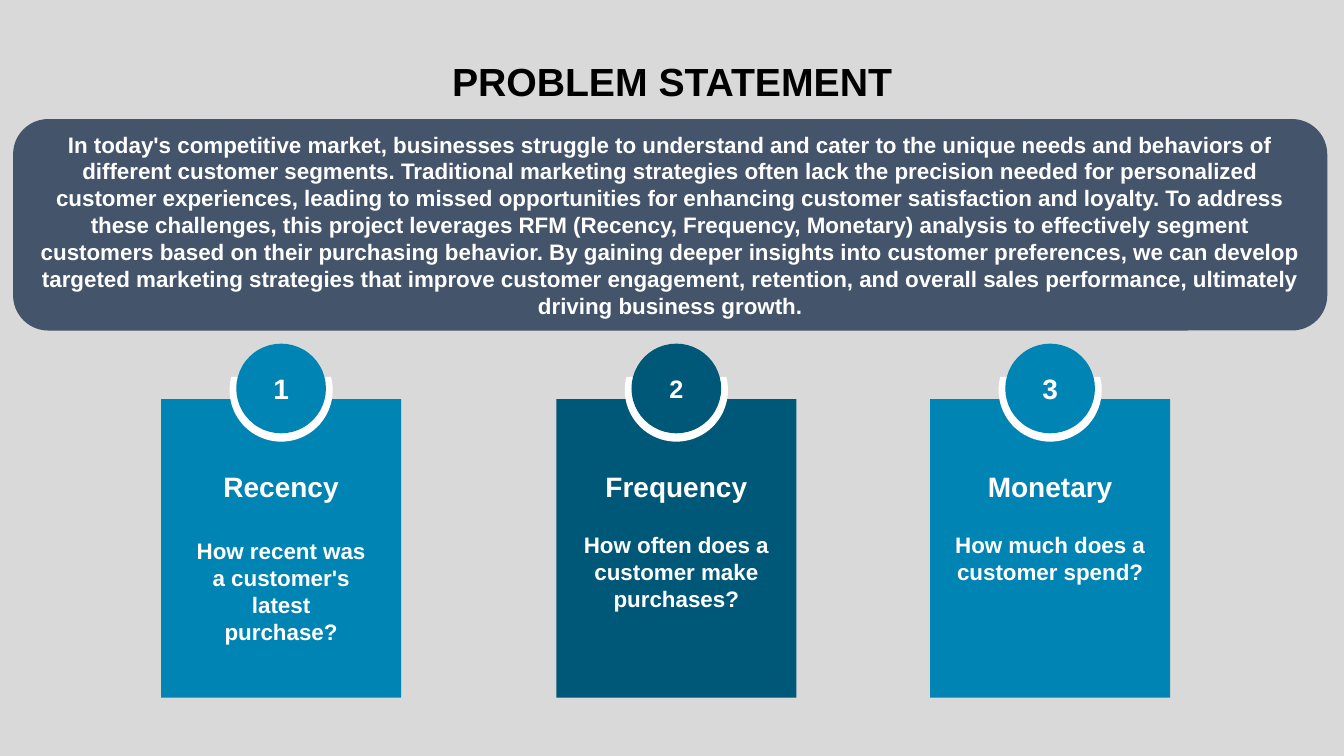
from dataclasses import dataclass
from math import asin, cos, pi, sin

from pptx import Presentation
from pptx.dml.color import RGBColor as RGB
from pptx.enum.shapes import MSO_SHAPE as Shape
from pptx.enum.text import MSO_ANCHOR as Anchor, MSO_AUTO_SIZE as Fit, PP_ALIGN as Align
from pptx.util import Cm, Pt


@dataclass(frozen=True)
class Theme:
    font: str = "Arial"
    page: RGB = RGB(0xD9, 0xD9, 0xD9)
    slate: RGB = RGB(0x44, 0x54, 0x6A)
    blue: RGB = RGB(0x00, 0x84, 0xB4)
    deep: RGB = RGB(0x00, 0x58, 0x78)
    white: RGB = RGB(0xFF, 0xFF, 0xFF)
    black: RGB = RGB(0x00, 0x00, 0x00)
    title: int = 28
    head: int = 20
    mark: int = 18
    body: int = 16


@dataclass(frozen=True)
class Card:
    mark: str
    head: str
    ask: str
    left: float
    wide: float
    gap: float
    fill: RGB
    size: int


THEME = Theme()
CARD_W, CARD_H, CARD_TOP = 6.05, 7.52, 10.06
DISC, DISC_TOP = 2.26, 8.66
CUP_R, CUP_Y, CUP_TOP = 1.3, 9.83, 9.5

INTRO = (
    "In today's competitive market, businesses struggle to understand and cater to the "
    "unique needs and behaviors of different customer segments. Traditional marketing "
    "strategies often lack the precision needed for personalized customer experiences, "
    "leading to missed opportunities for enhancing customer satisfaction and loyalty. "
    "To address these challenges, this project leverages RFM (Recency, Frequency, "
    "Monetary) analysis to effectively segment customers based on their purchasing "
    "behavior. By gaining deeper insights into customer preferences, we can develop "
    "targeted marketing strategies that improve customer engagement, retention, and "
    "overall sales performance, ultimately driving business growth."
)

CARDS = (
    Card("1", "Recency", "How recent was a customer's latest purchase?",
         4.06, 4.93, 24.5, THEME.blue, THEME.head),
    Card("2", "Frequency", "How often does a customer make purchases?",
         14.02, 5.2, 20, THEME.deep, THEME.mark),
    Card("3", "Monetary", "How much does a customer spend?",
         23.44, 5.46, 20, THEME.blue, THEME.head),
)


def paint(shape, fill):
    shape.shadow.inherit = False
    shape.fill.solid()
    shape.fill.fore_color.rgb = fill
    shape.line.fill.background()


def style(para, size, color=THEME.white):
    para.alignment = Align.CENTER
    para.font.name = THEME.font
    para.font.size = Pt(size)
    para.font.bold = True
    para.font.color.rgb = color


def write(shape, text, size, color=THEME.white):
    frame = shape.text_frame
    frame.word_wrap = True
    frame.auto_size = Fit.NONE
    frame.vertical_anchor = Anchor.MIDDLE
    frame.text = text
    style(frame.paragraphs[0], size, color)


def add_block(slide, kind, box, fill):
    shape = slide.shapes.add_shape(kind, *map(Cm, box))
    paint(shape, fill)
    return shape


def add_cup(slide, mid):
    tilt = asin((CUP_Y - CUP_TOP) / CUP_R)
    steps = 48
    turns = [-tilt + (pi + 2 * tilt) * i / steps for i in range(steps + 1)]
    dots = [(Cm(mid + CUP_R * cos(t)), Cm(CUP_Y + CUP_R * sin(t))) for t in turns]
    pen = slide.shapes.build_freeform(*dots[0])
    pen.add_line_segments(dots[1:], close=True)
    paint(pen.convert_to_shape(), THEME.white)


def add_copy(slide, card, mid):
    box = (mid - card.wide / 2, 11.71, card.wide, 4.57)
    frame = slide.shapes.add_textbox(*map(Cm, box)).text_frame
    frame.word_wrap = True
    head, ask = frame.paragraphs[0], frame.add_paragraph()
    head.text, ask.text = card.head, card.ask
    style(head, THEME.head)
    style(ask, THEME.body)
    head.space_before = Pt(3)
    ask.space_before = Pt(card.gap)


def add_card(slide, card):
    mid = card.left + CARD_W / 2
    add_block(slide, Shape.RECTANGLE, (card.left, CARD_TOP, CARD_W, CARD_H), card.fill)
    add_cup(slide, mid)
    disc = add_block(slide, Shape.OVAL, (mid - DISC / 2, DISC_TOP, DISC, DISC), card.fill)
    write(disc, card.mark, card.size)
    add_copy(slide, card, mid)


def add_title(slide, text):
    title = slide.shapes.title
    title.left, title.top, title.width, title.height = map(Cm, (0, 1.3, 33.87, 1.45))
    write(title, text, THEME.title, THEME.black)


def main():
    deck = Presentation()
    deck.slide_width, deck.slide_height = Cm(33.87), Cm(19.05)
    slide = deck.slides.add_slide(deck.slide_layouts[5])
    slide.background.fill.solid()
    slide.background.fill.fore_color.rgb = THEME.page
    add_title(slide, "PROBLEM STATEMENT")
    for card in CARDS:
        add_card(slide, card)
    kind = Shape.FLOWCHART_ALTERNATE_PROCESS
    panel = add_block(slide, kind, (0.33, 3, 33.12, 5.33), THEME.slate)
    write(panel, INTRO, THEME.body)
    deck.save("out.pptx")


if __name__ == "__main__":
    main()
